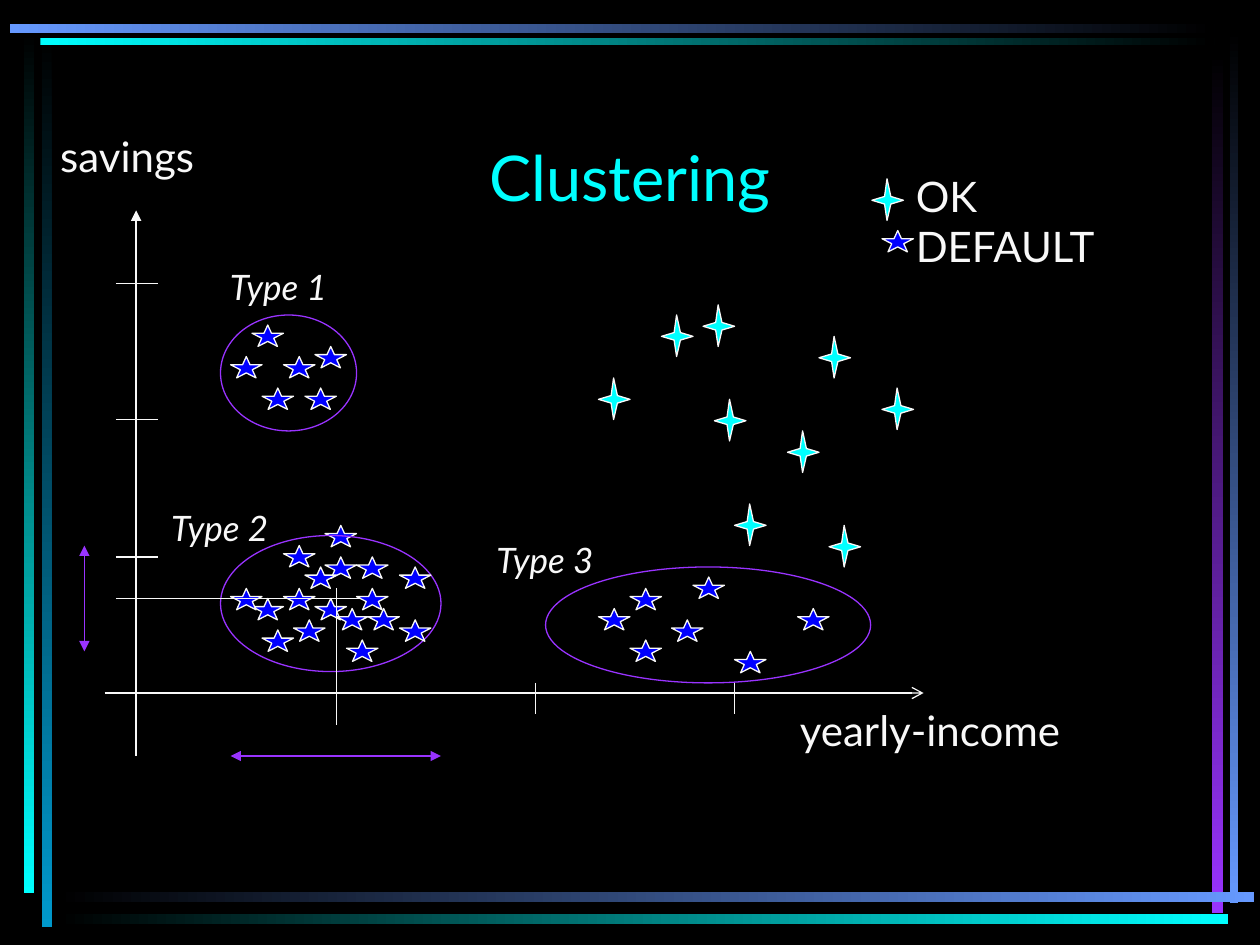
"""Build a slide showing customer clusters by savings and yearly income."""
from lxml import etree
from pptx import Presentation
from pptx.dml.color import RGBColor
from pptx.enum.shapes import MSO_CONNECTOR, MSO_SHAPE as SHAPE
from pptx.enum.text import MSO_ANCHOR as ANCHOR, PP_ALIGN as ALIGN
from pptx.oxml.ns import qn
from pptx.util import Inches, Pt

BLACK, WHITE, CYAN, BLUE = "000000", "F8F8F8", "00FFFF", "0000FF"
PURPLE, SKY, TEAL = "9933FF", "6699FF", "0099CC"


def rgb(value):
    return RGBColor.from_string(value)


def style(s, line, fill=None):
    s.shadow.inherit = False
    s.line.color.rgb = rgb(line)
    s.line.width = Pt(0.75)
    if fill:
        s.fill.solid()
        s.fill.fore_color.rgb = rgb(fill)
    else:
        s.fill.background()


prs = Presentation()
prs.slide_width, prs.slide_height = Inches(10), Inches(7.5)
slide = prs.slides.add_slide(prs.slide_layouts[6])
slide.background.fill.solid()
slide.background.fill.fore_color.rgb = rgb(BLACK)
shapes = slide.shapes

bars = [
    (0.33, 0.28, 0.08, 7.08, BLACK, TEAL),
    (0.19, 0.25, 0.08, 6.84, BLACK, CYAN),
    (9.76, 0.24, 0.07, 6.93, BLACK, SKY),
    (9.62, 0.42, 0.09, 6.83, BLACK, PURPLE),
    (0.45, 7.08, 9.5, 0.08, BLACK, SKY),
    (0.45, 7.25, 9.3, 0.08, BLACK, CYAN),
    (0.32, 0.3, 9.32, 0.06, CYAN, BLACK),
    (0.08, 0.19, 9.56, 0.07, SKY, BLACK),
]
for x, y, w, h, start, end in bars:
    s = shapes.add_shape(SHAPE.RECTANGLE, Inches(x), Inches(y), Inches(w), Inches(h))
    s.shadow.inherit = False
    s.line.fill.background()
    s.fill.gradient()
    s.fill.gradient_angle = 270 if h > w else 0
    for stop, color in zip(s.fill.gradient_stops, (start, end)):
        stop.color.rgb = rgb(color)

ok_points = [
    (5.58, 2.42), (4.75, 3), (5.83, 4), (6.5, 2.67), (5.67, 3.17),
    (7, 3.08), (5.25, 2.5), (6.25, 3.42), (6.58, 4.17), (6.92, 1.42),
]
outline = [(0, 0.17), (0.1, 0.14), (0.12, 0), (0.15, 0.14),
           (0.25, 0.17), (0.15, 0.2), (0.12, 0.33), (0.1, 0.2)]
for x, y in ok_points:
    points = [(Inches(x + dx), Inches(y + dy)) for dx, dy in outline]
    builder = shapes.build_freeform(*points[0])
    builder.add_line_segments(points[1:], close=True)
    style(builder.convert_to_shape(), WHITE, CYAN)

back_stars = [
    (2, 2.58), (2.08, 3.08), (2.25, 2.83), (2.58, 4.17), (2.42, 3.08),
    (2.58, 4.42), (4.75, 4.83), (5.83, 5.17), (7, 1.83), (1.83, 2.83),
    (6.33, 4.83), (5, 5.08), (5, 4.67), (5.5, 4.58), (5.33, 4.92),
    (2.08, 5), (2, 4.75), (2.25, 4.67), (1.83, 4.67), (2.5, 4.75),
    (2.25, 4.33), (2.83, 4.42), (2.33, 4.92),
]
clusters = [(1.75, 2.5, 1.08, 0.92), (4.33, 4.5, 2.58, 0.92), (1.75, 4.25, 1.75, 1.08)]
front_stars = [
    (2.83, 4.67), (3.17, 4.5), (3.17, 4.92), (2.92, 4.83),
    (2.75, 5.08), (2.67, 4.83), (2.42, 4.5), (2.5, 2.75),
]
lines = [
    (0.92, 4.75, 2.92, 4.75, WHITE, {}),
    (2.67, 4.67, 2.67, 5.75, WHITE, {}),
    (1.83, 6, 3.5, 6, PURPLE, {"headEnd": "triangle", "tailEnd": "triangle"}),
    (0.67, 4.33, 0.67, 5.17, PURPLE, {"headEnd": "triangle", "tailEnd": "triangle"}),
    (1.08, 1.67, 1.08, 6, WHITE, {"headEnd": "triangle"}),
    (0.83, 5.5, 7.33, 5.5, WHITE, {"tailEnd": "arrow"}),
]
lines += [(0.92, y, 1.25, y, WHITE, {}) for y in (2.25, 3.33, 4.42)]
lines += [(x, 5.42, x, 5.67, WHITE, {}) for x in (2.67, 4.25, 5.83)]

marks = [(SHAPE.STAR_5_POINT, x, y, 0.25, 0.17, WHITE, BLUE) for x, y in back_stars]
marks += [(SHAPE.OVAL, *box, PURPLE, None) for box in clusters]
marks += [(SHAPE.STAR_5_POINT, x, y, 0.25, 0.17, WHITE, BLUE) for x, y in front_stars]
for i, (kind, x, y, w, h, line, fill) in enumerate(marks):
    if i == len(back_stars) + len(clusters):
        for x1, y1, x2, y2, color, ends in lines:
            c = shapes.add_connector(
                MSO_CONNECTOR.STRAIGHT, Inches(x1), Inches(y1), Inches(x2), Inches(y2))
            c.line.color.rgb = rgb(color)
            c.line.width = Pt(0.75)
            for tag, end in ends.items():
                etree.SubElement(c.line._get_or_add_ln(), qn("a:" + tag), type=end)
            etree.SubElement(c._element.spPr, qn("a:effectLst"))
    s = shapes.add_shape(kind, Inches(x), Inches(y), Inches(w), Inches(h))
    style(s, line, fill)

title = {"size": Pt(36), "italic": False}
label = {"size": Pt(24), "italic": False}
group = {"size": Pt(20), "italic": True}
texts = [
    (["Clustering"], 0.75, 0.67, 8.5, 1.08, ALIGN.CENTER, ANCHOR.BOTTOM, CYAN, title),
    (["yearly-income"], 6.25, 5.54, 2.4, 0.5, ALIGN.LEFT, ANCHOR.TOP, WHITE, label),
    (["savings"], 0.38, 0.99, 1.37, 0.5, ALIGN.LEFT, ANCHOR.TOP, WHITE, label),
    (["OK", "DEFAULT"], 7.17, 1.3, 1.62, 0.9, ALIGN.LEFT, ANCHOR.MIDDLE, WHITE, label),
    (["Type 1"], 1.64, 2.02, 1.14, 0.5, ALIGN.CENTER, ANCHOR.MIDDLE, WHITE, group),
    (["Type 2"], 0.86, 3.94, 1.77, 0.5, ALIGN.CENTER, ANCHOR.MIDDLE, WHITE, group),
    (["Type 3"], 3.69, 4.19, 1.27, 0.5, ALIGN.CENTER, ANCHOR.MIDDLE, WHITE, group),
]
for rows, x, y, w, h, align, anchor, color, font in texts:
    tf = shapes.add_textbox(Inches(x), Inches(y), Inches(w), Inches(h)).text_frame
    tf.word_wrap = align == ALIGN.CENTER
    tf.vertical_anchor = anchor
    tf.text = "\n".join(rows)
    for p in tf.paragraphs:
        p.alignment = align
        r = p.runs[0]
        r.font.name = "Lato"
        r.font.color.rgb = rgb(color)
        for name, value in font.items():
            setattr(r.font, name, value)

prs.save("out.pptx")
